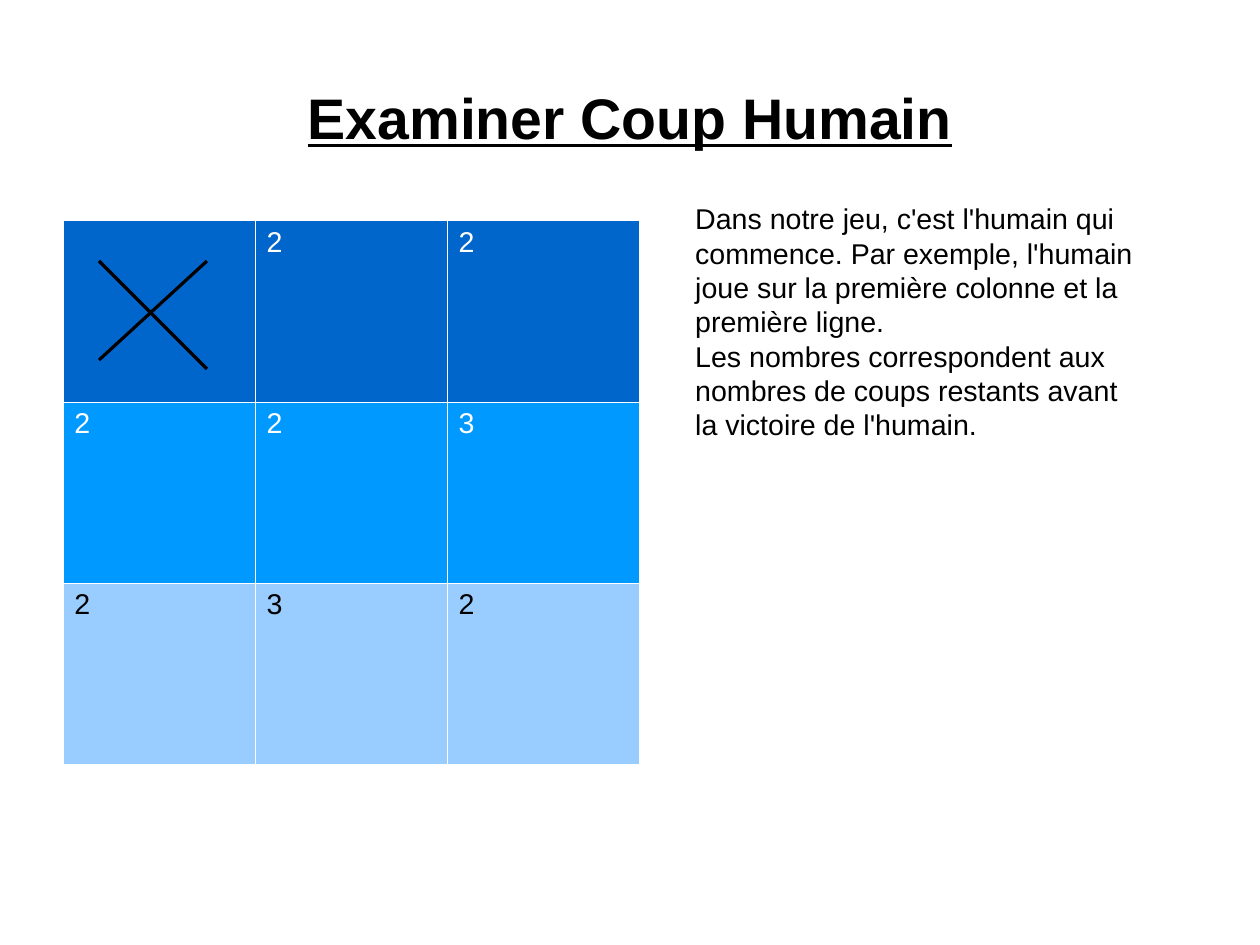
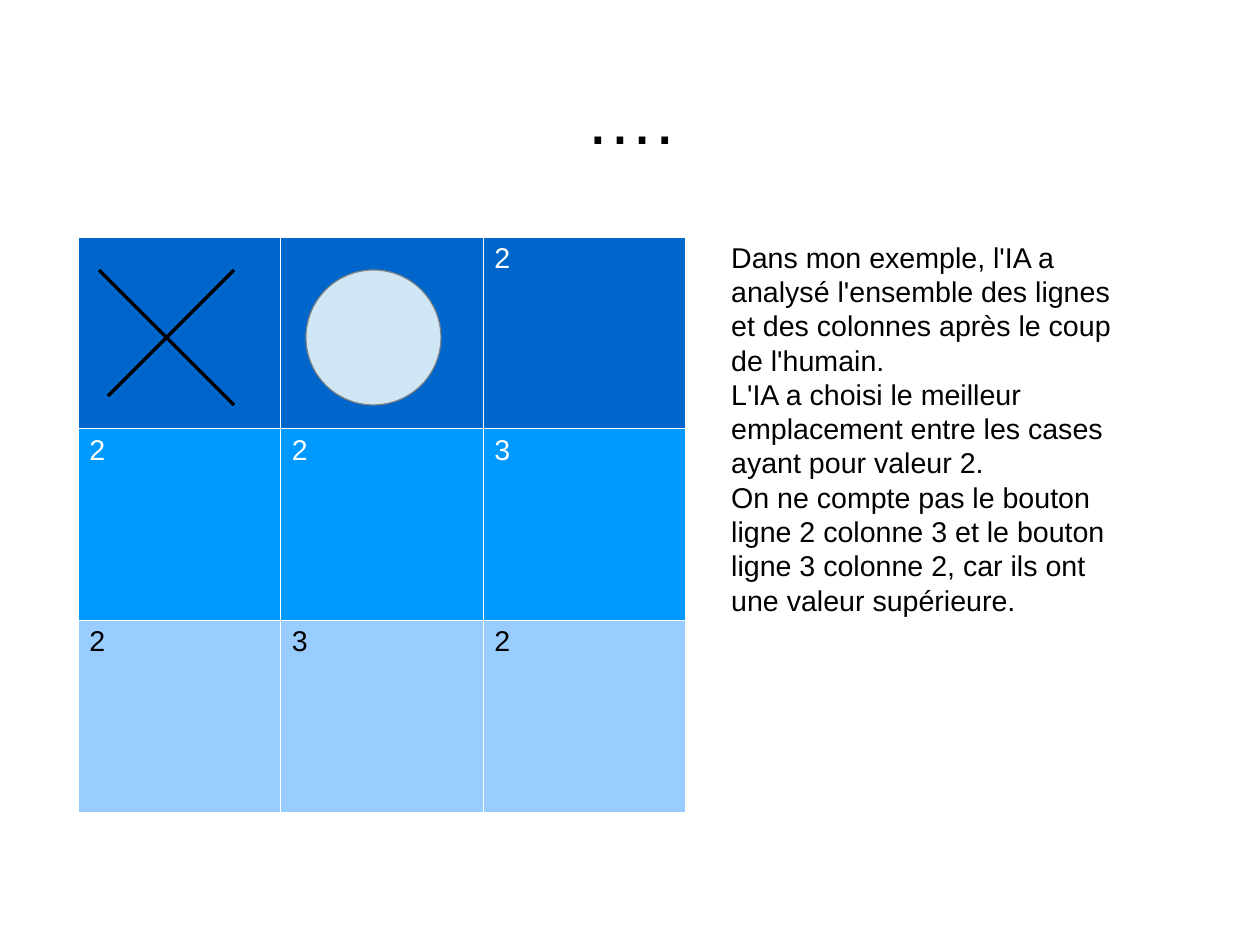
from lxml import etree
from pptx import Presentation
from pptx.dml.color import RGBColor
from pptx.enum import shapes, text
from pptx.oxml.ns import qn
from pptx.util import Cm, Pt

FONT = "Arial"
BLACK, WHITE, GREY, PALE = "000000", "FFFFFF", "808080", "CFE7F5"
ROW_STYLES = [("0066CC", WHITE), ("0099FF", WHITE), ("99CCFF", BLACK)]
BORDER_WIDTH = Pt(0.06)

SLIDES = [
    {
        "title": "Examiner Coup Humain",
        "title_font": {"size": Pt(36), "bold": True, "underline": True},
        "board": (1.4, 4.9, 4.27, 4.03),  # left, top, column width, row height
        "values": [["", "2", "2"], ["2", "2", "3"], ["2", "3", "2"]],
        "cross": [(2.2, 5.8, 4.6, 8.2), (2.2, 8, 4.6, 5.8)],
        "circle": None,
        "note_box": (15.2, 4.35, 10.4, 5.23),
        "note": [
            "Dans notre jeu, c'est l'humain qui commence. Par exemple, l'humain "
            "joue sur la première colonne et la première ligne.",
            "Les nombres correspondent aux nombres de coups restants avant la "
            "victoire de l'humain.",
        ],
    },
    {
        "title": "….",
        "title_font": {"size": Pt(44), "bold": False, "underline": False},
        "board": (1.73, 5.26, 4.5, 4.26),
        "values": [["", "", "2"], ["2", "2", "3"], ["2", "3", "2"]],
        "cross": [(2.2, 6, 5.2, 9), (2.4, 8.8, 5.2, 6)],
        "circle": (6.8, 6, 3, 3),
        "note_box": (16, 5.2, 9.2, 8.08),
        "note": [
            "Dans mon exemple, l'IA a analysé l'ensemble des lignes et des "
            "colonnes après le coup de l'humain.",
            "L'IA a choisi le meilleur emplacement entre les cases ayant pour "
            "valeur 2.",
            "On ne compte pas le bouton ligne 2 colonne 3 et le bouton ligne 3 "
            "colonne 2, car ils ont une valeur supérieure.",
        ],
    },
]


def rgb(value):
    return RGBColor.from_string(value)


def add_run(p, content, color=BLACK, **font):
    r = p.add_run()
    r.text = content
    r.font.color.rgb = rgb(color)
    for name, value in ({"name": FONT, "size": Pt(18)} | font).items():
        setattr(r.font, name, value)


prs = Presentation()
prs.slide_width, prs.slide_height = Cm(28), Cm(21)

for data in SLIDES:
    s = prs.slides.add_slide(prs.slide_layouts[5])

    # Title
    title = s.shapes.title
    title.left, title.top, title.width, title.height = map(Cm, (1.4, 0.84, 25.2, 3.5))
    tf = title.text_frame
    title_format = {"margin_left": 0, "margin_right": 0, "margin_top": 0,
                    "margin_bottom": 0, "word_wrap": True,
                    "auto_size": text.MSO_AUTO_SIZE.NONE,
                    "vertical_anchor": text.MSO_ANCHOR.MIDDLE}
    for name, value in title_format.items():
        setattr(tf, name, value)
    p = tf.paragraphs[0]
    p.alignment = text.PP_ALIGN.CENTER
    add_run(p, data["title"], **data["title_font"])

    # Game board
    left, top, col_width, row_height = map(Cm, data["board"])
    board = s.shapes.add_table(3, 3, left, top, 3 * col_width, 3 * row_height).table
    board.first_row = board.horz_banding = False
    for col in board.columns:
        col.width = col_width
    for row, values, (fill, color) in zip(board.rows, data["values"], ROW_STYLES):
        row.height = row_height
        for cell, value in zip(row.cells, values):
            tc_pr = cell._tc.get_or_add_tcPr()
            for side in ("a:lnL", "a:lnR", "a:lnT", "a:lnB"):
                ln = etree.SubElement(tc_pr, qn(side), w=str(int(BORDER_WIDTH)))
                solid = etree.SubElement(ln, qn("a:solidFill"))
                etree.SubElement(solid, qn("a:srgbClr"), val=WHITE)
            cell.fill.solid()
            cell.fill.fore_color.rgb = rgb(fill)
            if value:
                add_run(cell.text_frame.paragraphs[0], value, color)

    # Moves played: a cross for the human, a circle for the AI
    for ends in data["cross"]:
        stroke = s.shapes.add_connector(shapes.MSO_CONNECTOR.STRAIGHT, *map(Cm, ends))
        stroke.line.color.rgb = rgb(BLACK)
        stroke.line.width = 0
        etree.SubElement(stroke._element.spPr, qn("a:effectLst"))
    if data["circle"]:
        circle = s.shapes.add_shape(shapes.MSO_SHAPE.OVAL, *map(Cm, data["circle"]))
        circle.shadow.inherit = False
        circle.fill.solid()
        circle.fill.fore_color.rgb = rgb(PALE)
        circle.line.color.rgb = rgb(GREY)
        circle.line.width = 0

    # Explanation
    tf = s.shapes.add_textbox(*map(Cm, data["note_box"])).text_frame
    tf.word_wrap = True
    tf.auto_size = text.MSO_AUTO_SIZE.SHAPE_TO_FIT_TEXT
    for i, content in enumerate(data["note"]):
        add_run(tf.add_paragraph() if i else tf.paragraphs[0], content)

prs.save("out.pptx")
